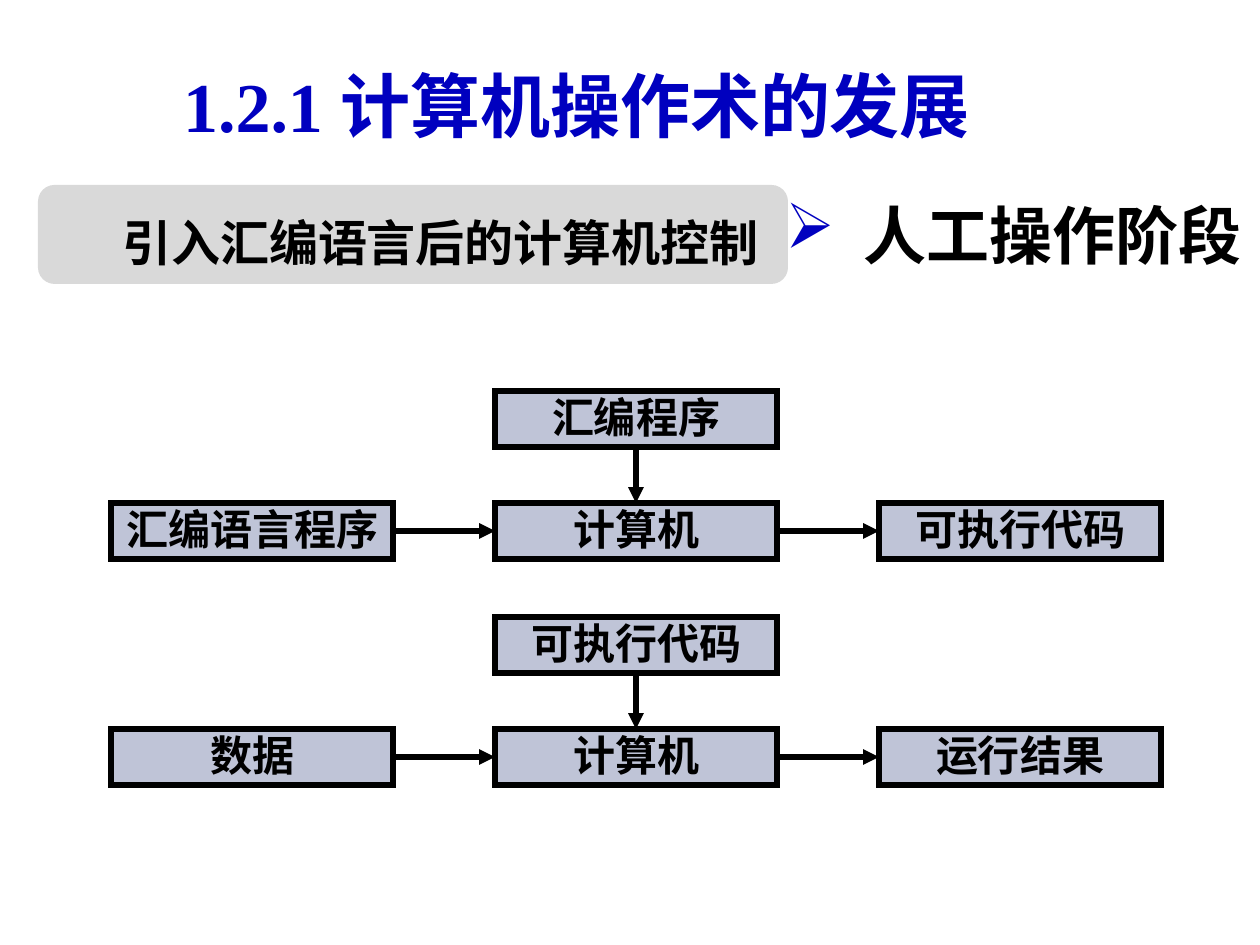
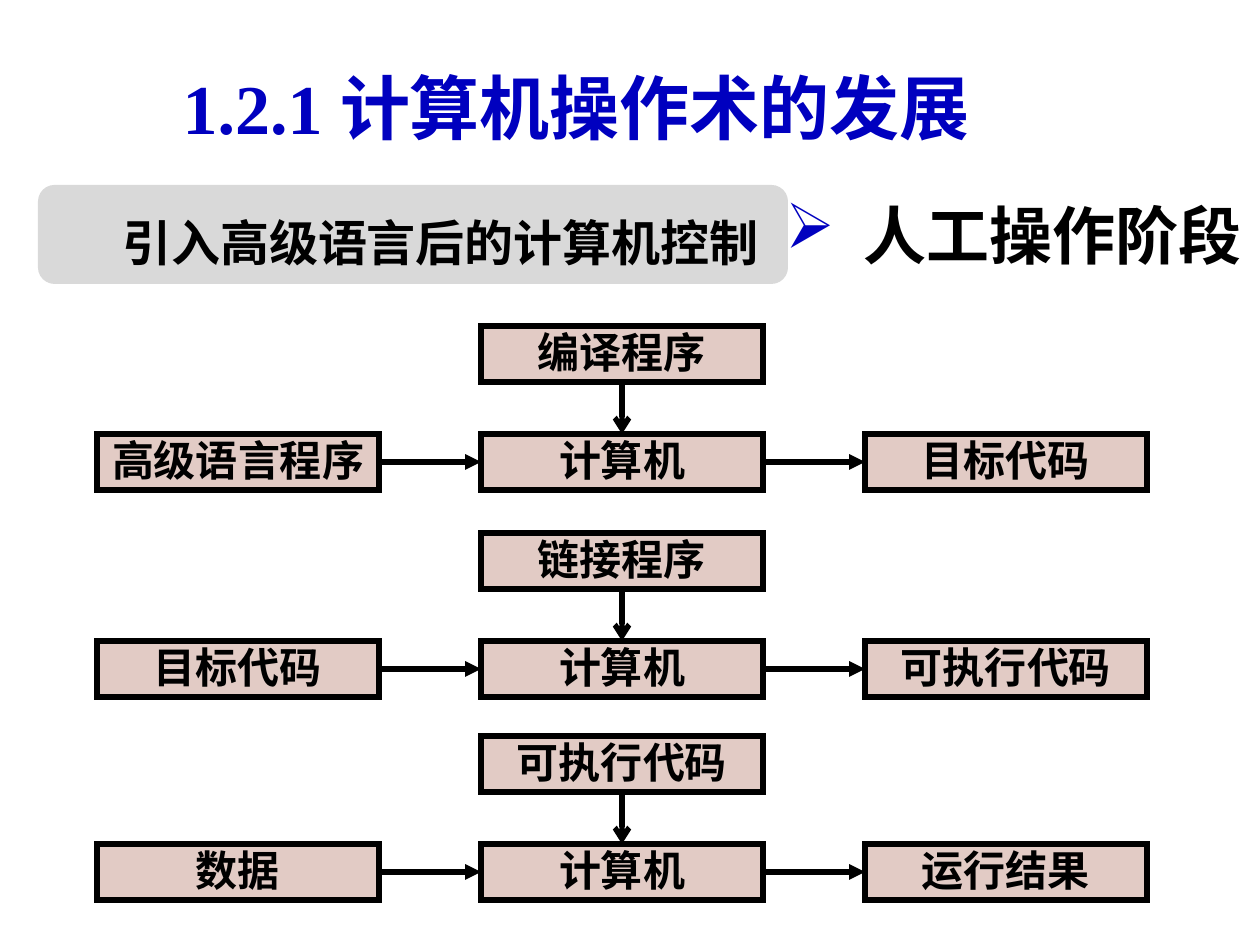
from lxml.etree import SubElement
from pptx import Presentation
from pptx.dml.color import RGBColor
from pptx.enum.shapes import MSO_CONNECTOR, MSO_SHAPE
from pptx.enum.text import MSO_ANCHOR, PP_ALIGN
from pptx.oxml.ns import qn
from pptx.util import Emu, Pt

PIXELS_PER_INCH = 126
EMU_PER_INCH = 914400
BLACK = RGBColor(0x00, 0x00, 0x00)
TITLE_BLUE = RGBColor(0x00, 0x00, 0xBF)
BAND_GREY = RGBColor(0xD9, 0xD9, 0xD9)
BOX_BLUE = RGBColor(0xBF, 0xC4, 0xD7)
BOX_PINK = RGBColor(0xE2, 0xCB, 0xC5)
SERIF = "Times New Roman"
SANS = "Noto Sans CJK SC"
TOP, LEFT, BOTTOM, RIGHT = range(4)

BOX_WIDTH = 282
BOX_HEIGHT = 56
COLUMN_PITCH = 384


def px(length):
    return Emu(round(length * EMU_PER_INCH / PIXELS_PER_INCH))


class SlideBuilder:
    def __init__(self, deck, box_fill, arrow_head, first_column, row_drop):
        self.page = deck.slides.add_slide(deck.slide_layouts[5])
        self.box_fill = box_fill
        self.arrow_head = arrow_head
        self.columns = [first_column + COLUMN_PITCH * i for i in range(3)]
        self.row_drop = row_drop

    def format_span(self, span, size, color, font):
        span.font.size = Pt(size)
        span.font.bold = True
        span.font.name = font
        span.font.color.rgb = color
        east_asian = SubElement(span._r.get_or_add_rPr(), qn("a:ea"))
        east_asian.set("typeface", SANS)

    def title(self, left, top, width, height):
        box = self.page.shapes.title
        box.left, box.top, box.width, box.height = map(px, (left, top, width, height))
        box.text_frame.text = "1.2.1 计算机操作术的发展"
        box.text_frame.vertical_anchor = MSO_ANCHOR.MIDDLE
        para = box.text_frame.paragraphs[0]
        para.alignment = PP_ALIGN.CENTER
        self.format_span(para.runs[0], 40, TITLE_BLUE, SERIF)

    def band(self):
        band = self.page.shapes.add_shape(
            MSO_SHAPE.ROUNDED_RECTANGLE, px(38), px(185), px(750), px(99))
        band.shadow.inherit = False
        band.fill.solid()
        band.fill.fore_color.rgb = BAND_GREY
        band.line.fill.background()

    def text_box(self, text, size, left, top, width, height):
        box = self.page.shapes.add_textbox(px(left), px(top), px(width), px(height))
        box.text_frame.text = text
        self.format_span(box.text_frame.paragraphs[0].runs[0], size, BLACK, SANS)
        return box.text_frame

    def subtitle(self, text):
        frame = self.text_box(text, 28, 110, 186, 690, 112)
        frame.word_wrap = True
        frame.vertical_anchor = MSO_ANCHOR.MIDDLE

    def stage(self, text):
        frame = self.text_box(text, 36, 773, 190, 484, 89)
        frame.word_wrap = False
        properties = frame.paragraphs[0]._p.get_or_add_pPr()
        properties.set("marL", str(px(78)))
        properties.set("indent", str(-px(78)))
        color = SubElement(SubElement(properties, qn("a:buClr")), qn("a:srgbClr"))
        color.set("val", str(TITLE_BLUE))
        SubElement(properties, qn("a:buFont")).set("typeface", "OpenSymbol")
        SubElement(properties, qn("a:buChar")).set("char", "➢")

    def box(self, text, column, top):
        box = self.page.shapes.add_shape(
            MSO_SHAPE.RECTANGLE, px(self.columns[column]), px(top),
            px(BOX_WIDTH), px(BOX_HEIGHT))
        box.shadow.inherit = False
        box.fill.solid()
        box.fill.fore_color.rgb = self.box_fill
        box.line.color.rgb = BLACK
        box.line.width = Pt(3)
        SubElement(box.line._get_or_add_ln(), qn("a:miter")).set("lim", "800000")
        frame = box.text_frame
        frame.margin_left = frame.margin_right = frame.margin_top = frame.margin_bottom = 0
        frame.word_wrap = True
        frame.vertical_anchor = MSO_ANCHOR.TOP
        frame.text = text
        para = frame.paragraphs[0]
        para.alignment = PP_ALIGN.CENTER
        self.format_span(para.runs[0], 24, BLACK, SERIF)
        return box

    def arrow(self, begin, begin_side, end, end_side, head="triangle"):
        arrow = self.page.shapes.add_connector(MSO_CONNECTOR.STRAIGHT, 0, 0, 0, 0)
        arrow.begin_connect(begin, begin_side)
        arrow.end_connect(end, end_side)
        arrow.line.color.rgb = BLACK
        arrow.line.width = Pt(3)
        SubElement(arrow.line._get_or_add_ln(), qn("a:tailEnd")).set("type", head)
        SubElement(arrow._element.spPr, qn("a:effectLst"))

    def flow(self, top, program_label, *row_labels):
        program = self.box(program_label, 1, top)
        source, computer, result = [
            self.box(label, column, top + self.row_drop)
            for column, label in enumerate(row_labels)]
        self.arrow(program, BOTTOM, computer, TOP, self.arrow_head)
        self.arrow(source, RIGHT, computer, LEFT)
        self.arrow(computer, RIGHT, result, LEFT)


def build_slide(builder, title_place, subtitle, flows):
    builder.band()
    builder.title(*title_place)
    builder.subtitle(subtitle)
    builder.stage("人工操作阶段")
    for flow in flows:
        builder.flow(*flow)


def main():
    deck = Presentation()
    deck.slide_width, deck.slide_height = px(1260), px(945)
    build_slide(
        SlideBuilder(deck, BOX_BLUE, "triangle", 111, 112),
        (123, 26, 907, 158),
        "引入汇编语言后的计算机控制",
        ((391, "汇编程序", "汇编语言程序", "计算机", "可执行代码"),
         (617, "可执行代码", "数据", "计算机", "运行结果")))
    build_slide(
        SlideBuilder(deck, BOX_PINK, "arrow", 97, 108),
        (144, 28, 864, 158),
        "引入高级语言后的计算机控制",
        ((326, "编译程序", "高级语言程序", "计算机", "目标代码"),
         (533, "链接程序", "目标代码", "计算机", "可执行代码"),
         (736, "可执行代码", "数据", "计算机", "运行结果")))
    deck.save("out.pptx")


if __name__ == "__main__":
    main()
